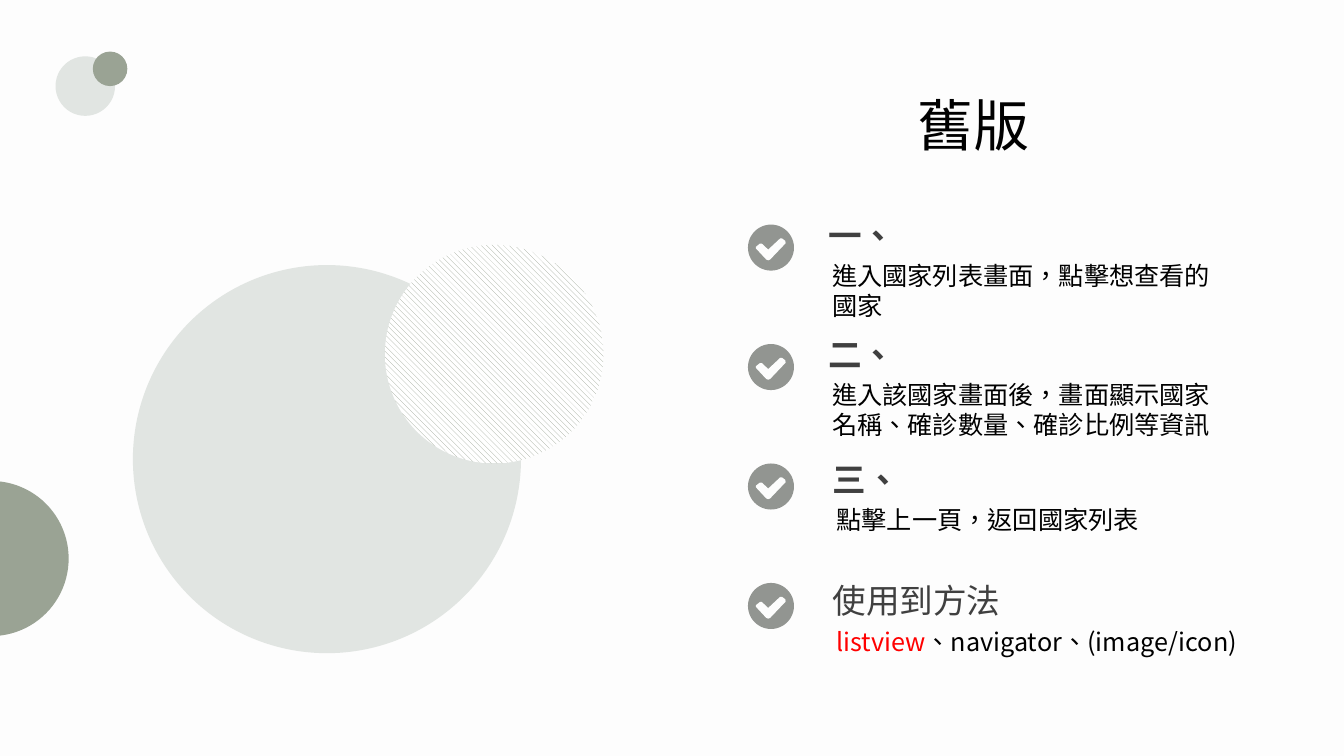
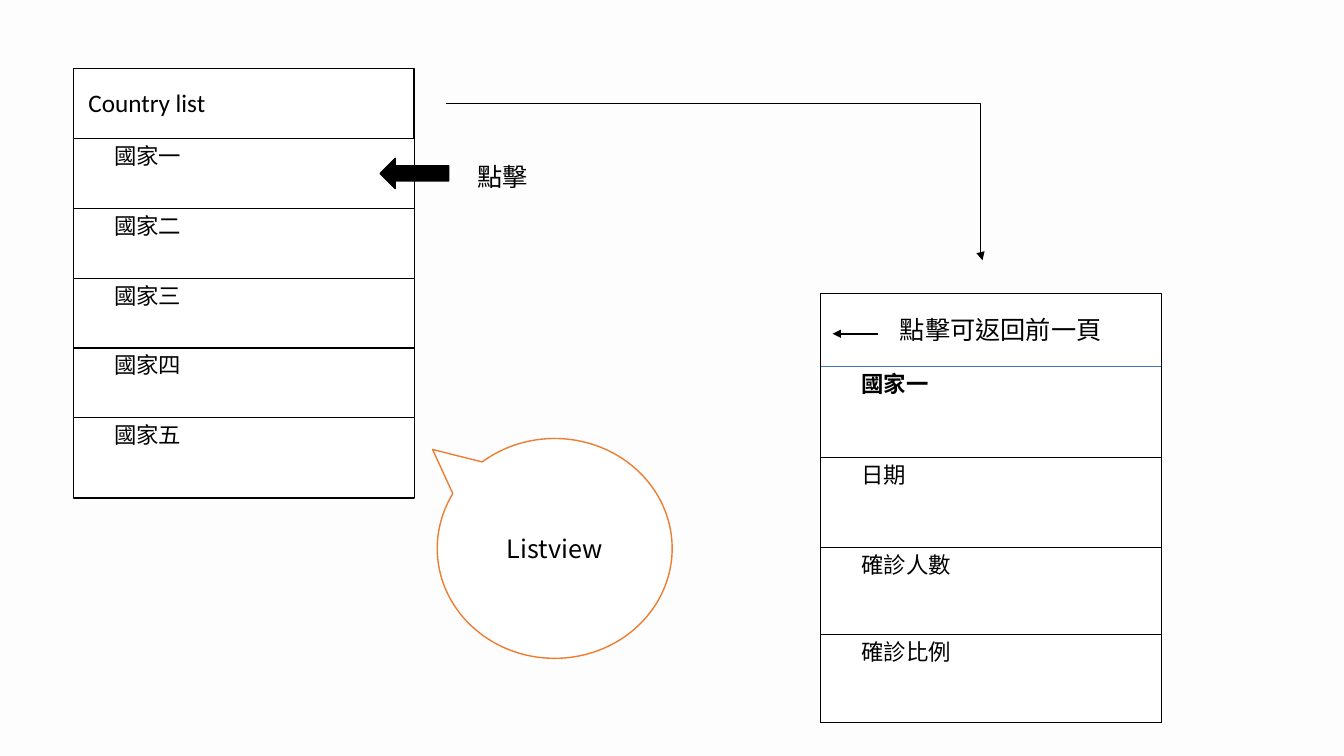
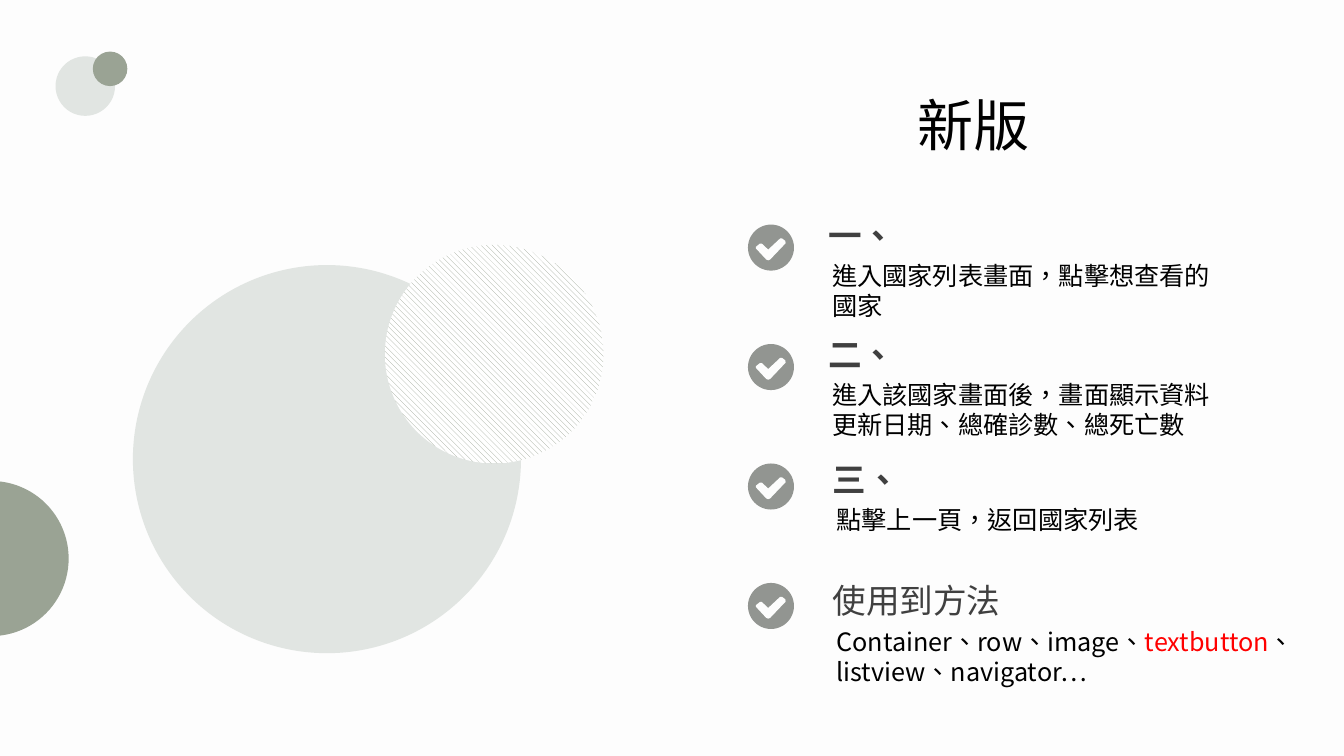
from itertools import accumulate

from lxml.etree import SubElement
from pptx import Presentation
from pptx.dml.color import RGBColor
from pptx.enum.dml import MSO_PATTERN
from pptx.enum.shapes import MSO_CONNECTOR, MSO_SHAPE
from pptx.enum.text import MSO_ANCHOR, MSO_AUTO_SIZE, PP_ALIGN
from pptx.oxml.ns import qn
from pptx.util import Cm, Pt

BACKGROUND = RGBColor(0xFD, 0xFD, 0xFD)
WHITE = RGBColor(0xFF, 0xFF, 0xFF)
BLACK = RGBColor(0x00, 0x00, 0x00)
CHARCOAL = RGBColor(0x40, 0x40, 0x40)
GREY = RGBColor(0x92, 0x95, 0x91)
MIST = RGBColor(0xE1, 0xE5, 0xE2)
SAGE = RGBColor(0x9A, 0xA3, 0x94)
RED = RGBColor(0xFF, 0x00, 0x00)
BLUE = RGBColor(0x44, 0x72, 0xC4)
ORANGE = RGBColor(0xED, 0x7D, 0x31)

NOTO = "Noto Sans CJK SC"
CALIBRI = "Calibri"

FIRST_STEP = ("一、", [("進入國家列表畫面，點擊想查看的國家", BLACK)])
THIRD_STEP = ("三、", [("點擊上一頁，返回國家列表", BLACK)])
METHODS = "使用到方法"

OLD_VERSION = ("舊版", [
    FIRST_STEP,
    ("二、", [("進入該國家畫面後，畫面顯示國家名稱、確診數量、確診比例等資訊", BLACK)]),
    THIRD_STEP,
    (METHODS, [("listview", RED), ("、navigator、(image/icon)", BLACK)]),
])
NEW_VERSION = ("新版", [
    FIRST_STEP,
    ("二、", [("進入該國家畫面後，畫面顯示資料更新日期、總確診數、總死亡數", BLACK)]),
    THIRD_STEP,
    (METHODS, [("Container、row、image、", BLACK), ("textbutton", RED),
               ("、listview、navigator…", BLACK)]),
])

STEP_PLACES = [(20.62, 5.28, 10.44), (20.62, 8.28, 10.44),
               (20.73, 11.43, 10.44), (20.73, 14.5, 12.85)]
DETAIL_SHIFT = (0.1, 1.16)
ICON_LEFT, ICON_TOP, ICON_PITCH, ICON_SIZE = 18.85, 5.66, 3.01, 1.16
CHECK_OUTLINE = [(20, 56), (30, 48), (35, 48), (51, 63), (81, 35), (86, 35),
                 (94, 41), (95, 47), (56, 88), (51, 90), (46, 88), (20, 60)]

CORNER_DOTS = [(1.4, 1.42, 1.5, MIST), (2.34, 1.3, 0.87, SAGE)]
LARGE_CIRCLE = (3.35, 6.68, 9.78, MIST)
HATCHED_CIRCLE = (9.7, 6.17, 5.51, WHITE)
EDGE_CIRCLE = (-2.18, 12.12, 3.91, SAGE)

SCREEN_WIDTH, SCREEN_HEIGHT = 8.59, 10.82
LIST_SCREEN = {
    "left": 1.85, "top": 1.73, "table_top": 3.49, "divider": BLACK,
    "rows": [("國家一", 1.76), ("國家二", 1.76), ("國家三", 1.76),
             ("國家四", 1.76), ("國家五", 2.01)],
    "bold": None,
}
DETAIL_SCREEN = {
    "left": 20.68, "top": 7.39, "table_top": 9.24, "divider": BLUE,
    "rows": [("國家一", 2.28), ("日期", 2.28), ("確診人數", 2.2), ("確診比例", 2.2)],
    "bold": "國家一",
}
LABELS = [
    ("Country list", 1.98, 2.08, 16.94, CALIBRI),
    ("點擊", 11.79, 3.94, 3.18, NOTO),
    ("點擊可返回前一頁", 22.43, 7.8, 5.92, NOTO),
]


def style_run(span, size, color=BLACK, font=NOTO, bold=False):
    span.font.size = Pt(size)
    span.font.bold = bold
    span.font.color.rgb = color
    span.font.name = font
    properties = span.font._element
    properties.set("lang", "zh-TW")
    SubElement(properties, qn("a:ea")).set("typeface", NOTO)


def add_text(page, left, top, width, height, spans, size, font=NOTO, bold=False):
    box = page.shapes.add_textbox(Cm(left), Cm(top), Cm(width), Cm(height))
    box.text_frame.word_wrap = True
    para = box.text_frame.paragraphs[0]
    for text, color in spans:
        span = para.add_run()
        span.text = text
        style_run(span, size, color, font, bold)


def add_shape(shapes, kind, left, top, width, height, fill, line=None):
    shape = shapes.add_shape(kind, Cm(left), Cm(top), Cm(width), Cm(height))
    paint(shape, fill, line)
    return shape


def paint(shape, fill, line=None):
    shape.shadow.inherit = False
    shape.fill.solid()
    shape.fill.fore_color.rgb = fill
    if line is None:
        shape.line.fill.background()
    else:
        shape.line.color.rgb = line
        shape.line.width = Pt(1)


def add_circle(shapes, left, top, size, fill):
    return add_shape(shapes, MSO_SHAPE.OVAL, left, top, size, size, fill)


def add_line(page, kind, start, end, color, width, arrow=False):
    line = page.shapes.add_connector(kind, *map(Cm, start + end))
    line.line.color.rgb = color
    line.line.width = Pt(width)
    if arrow:
        SubElement(line.line._get_or_add_ln(), qn("a:tailEnd")).set("type", "triangle")
    SubElement(line._element.spPr, qn("a:effectLst"))
    return line


def add_check_icon(page, top):
    add_circle(page.shapes, ICON_LEFT, top, ICON_SIZE, GREY)
    builder = page.shapes.build_freeform(*CHECK_OUTLINE[0], scale=Cm(0.01))
    builder.add_line_segments(CHECK_OUTLINE[1:], close=True)
    paint(builder.convert_to_shape(Cm(ICON_LEFT), Cm(top)), BACKGROUND)


def add_circles(page):
    corner = page.shapes.add_group_shape()
    for dot in CORNER_DOTS:
        add_circle(corner.shapes, *dot)
    add_circle(page.shapes, *LARGE_CIRCLE)
    hatched = add_circle(page.shapes, *HATCHED_CIRCLE)
    hatched.fill.patterned()
    hatched.fill.pattern = MSO_PATTERN.WIDE_DOWNWARD_DIAGONAL
    hatched.fill.fore_color.rgb = SAGE
    hatched.fill.back_color.rgb = WHITE
    add_circle(page.shapes, *EDGE_CIRCLE)


def add_version_page(deck, layout, title, steps):
    page = deck.slides.add_slide(layout)
    page.shapes.title.text_frame.text = title
    para = page.shapes.title.text_frame.paragraphs[0]
    para.alignment = PP_ALIGN.LEFT
    style_run(para.runs[0], 40)
    add_circles(page)
    for index, ((heading, details), (left, top, width)) in enumerate(zip(steps, STEP_PLACES)):
        add_check_icon(page, ICON_TOP + index * ICON_PITCH)
        add_text(page, left + DETAIL_SHIFT[0], top + DETAIL_SHIFT[1], width, 1.02, details, 18)
        add_text(page, left, top, 11.73, 1.27, [(heading, CHARCOAL)], 24,
                 bold=heading != METHODS)


def format_cell(cell, text, bold):
    cell.fill.solid()
    cell.fill.fore_color.rgb = WHITE
    cell.margin_left = cell.margin_right = Cm(0.18)
    cell.margin_top = cell.margin_bottom = 0
    cell.text_frame.text = text
    para = cell.text_frame.paragraphs[0]
    para._p.get_or_add_pPr().set("marL", str(Cm(0.85)))
    style_run(para.runs[0], 16, font=CALIBRI if bold else NOTO, bold=bold)
    properties = cell._tc.get_or_add_tcPr()
    for position, side in enumerate(("a:lnL", "a:lnR", "a:lnT", "a:lnB")):
        border = SubElement(properties, qn(side))
        border.set("w", str(Pt(1)))
        fill = SubElement(border, qn("a:solidFill"))
        SubElement(fill, qn("a:srgbClr")).set("val", str(BLACK))
        properties.insert(position, border)


def add_screen(page, left, top, table_top, divider, rows, bold):
    add_shape(page.shapes, MSO_SHAPE.RECTANGLE, left, top, SCREEN_WIDTH, SCREEN_HEIGHT,
              WHITE, BLACK)
    heights = [height for _, height in rows]
    table = page.shapes.add_table(len(rows), 1, Cm(left), Cm(table_top),
                                  Cm(SCREEN_WIDTH), Cm(sum(heights))).table
    table.first_row = table.horz_banding = False
    for index, (text, height) in enumerate(rows):
        table.rows[index].height = Cm(height)
        format_cell(table.cell(index, 0), text, text == bold)
    add_line(page, MSO_CONNECTOR.STRAIGHT, (left, table_top),
             (left + SCREEN_WIDTH, table_top), divider, 0.5)


def add_flow_page(deck, layout):
    page = deck.slides.add_slide(layout)
    for screen in (LIST_SCREEN, DETAIL_SCREEN):
        add_screen(page, **screen)
    route = add_line(page, MSO_CONNECTOR.ELBOW, (11.25, 2.6), (24.76, 6.56), BLACK, 0.5, True)
    guide = SubElement(route._element.spPr.find(qn("a:prstGeom")).find(qn("a:avLst")), qn("a:gd"))
    guide.set("name", "adj1")
    guide.set("fmla", "val 99700")
    add_shape(page.shapes, MSO_SHAPE.LEFT_ARROW, 9.58, 3.99, 1.73, 0.76, BLACK, BLACK)
    add_line(page, MSO_CONNECTOR.STRAIGHT, (22.12, 8.41), (20.98, 8.41), BLACK, 1.5, True)
    for text, left, top, width, font in LABELS:
        add_text(page, left, top, width, 1.02, [(text, BLACK)], 18, font)
    callout = add_shape(page.shapes, MSO_SHAPE.OVAL_CALLOUT, 11.02, 11.05, 5.92, 5.54,
                        WHITE, ORANGE)
    callout.adjustments[0] = -0.52
    callout.adjustments[1] = -0.45
    callout.text_frame.text = "Listview"
    callout.text_frame.vertical_anchor = MSO_ANCHOR.MIDDLE
    para = callout.text_frame.paragraphs[0]
    para.alignment = PP_ALIGN.CENTER
    style_run(para.runs[0], 18)


def main():
    deck = Presentation()
    deck.slide_width, deck.slide_height = Cm(33.87), Cm(19.05)
    backdrop = deck.slide_master.background.fill
    backdrop.solid()
    backdrop.fore_color.rgb = BACKGROUND
    version_layout, flow_layout = deck.slide_layouts[5], deck.slide_layouts[6]
    title = version_layout.placeholders[0]
    title.left, title.top, title.width, title.height = map(Cm, (22.86, 2.16, 5, 1.96))
    title.text_frame.vertical_anchor = MSO_ANCHOR.TOP
    title.text_frame.auto_size = MSO_AUTO_SIZE.NONE
    add_version_page(deck, version_layout, *OLD_VERSION)
    add_flow_page(deck, flow_layout)
    add_version_page(deck, version_layout, *NEW_VERSION)
    deck.save("out.pptx")


if __name__ == "__main__":
    main()
